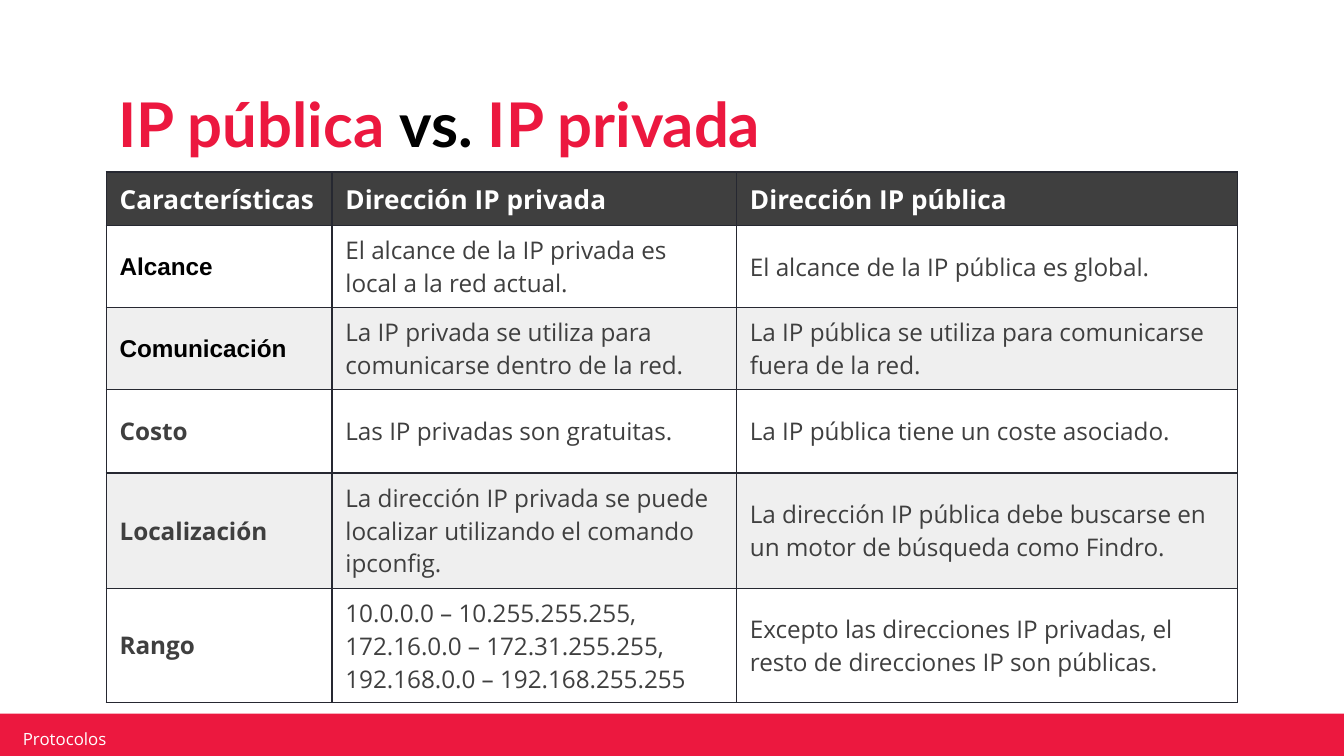
from dataclasses import dataclass

from lxml import etree
from pptx import Presentation
from pptx.dml.color import RGBColor
from pptx.enum import shapes, text
from pptx.oxml import ns
from pptx.util import Inches, Pt

RED, DARK, BLACK, WHITE = "EC183F", "3F3F3F", "000000", "FFFFFF"
STRIPE, BORDER = "EFEFEF", "262831"
BODY_FONT = "Open Sans"


@dataclass
class Row:
    label: str
    private: str
    public: str
    height: float
    fill: str = WHITE
    label_font: str = BODY_FONT
    label_color: str = DARK


HEADER = ("Características", "Dirección IP privada", "Dirección IP pública")
HEADER_HEIGHT = 0.4
COLUMN_WIDTHS = (1.68, 3.01, 3.73)
ROWS = [
    Row("Alcance", "El alcance de la IP privada es local a la red actual.\t",
        "El alcance de la IP pública es global.", 0.61,
        label_font="Arial", label_color=BLACK),
    Row("Comunicación", "La IP privada se utiliza para comunicarse dentro de la red.",
        "La IP pública se utiliza para comunicarse fuera de la red.", 0.61,
        STRIPE, "Arial", BLACK),
    Row("Costo", "Las IP privadas son gratuitas.",
        "La IP pública tiene un coste asociado.", 0.62),
    Row("Localización",
        "La dirección IP privada se puede localizar utilizando el comando ipconfig.",
        "La dirección IP pública debe buscarse en un motor de búsqueda como Findro.",
        0.86, STRIPE),
    Row("Rango",
        "10.0.0.0 – 10.255.255.255,\n172.16.0.0 – 172.31.255.255,\n"
        "192.168.0.0 – 192.168.255.255",
        "Excepto las direcciones IP privadas, el resto de direcciones IP son públicas.",
        0.85),
]


def rgb(color: str) -> RGBColor:
    return RGBColor.from_string(color)


def format_run(run, size: float, color: str, font: str = BODY_FONT, bold: bool = False) -> None:
    run.font.size = Pt(size)
    run.font.name = font
    run.font.bold = bold
    run.font.color.rgb = rgb(color)


def set_insets(frame, horizontal: float, vertical: float) -> None:
    frame.margin_left = frame.margin_right = Inches(horizontal)
    frame.margin_top = frame.margin_bottom = Inches(vertical)


def add_borders(cell) -> None:
    properties = cell._tc.get_or_add_tcPr()
    for index, side in enumerate(("lnL", "lnR", "lnT", "lnB")):
        line = etree.Element(ns.qn(f"a:{side}"), w=str(Pt(0.75)))
        fill = etree.SubElement(line, ns.qn("a:solidFill"))
        etree.SubElement(fill, ns.qn("a:srgbClr"), val=BORDER)
        properties.insert(index, line)


def fill_cell(cell, content: str, fill: str, size: float, color: str,
              font: str = BODY_FONT, bold: bool = False) -> None:
    cell.text_frame.text = content
    cell.vertical_anchor = text.MSO_ANCHOR.MIDDLE
    set_insets(cell, 0.1, 0.06)
    cell.fill.solid()
    cell.fill.fore_color.rgb = rgb(fill)
    add_borders(cell)
    for paragraph in cell.text_frame.paragraphs:
        for run in paragraph.runs:
            format_run(run, size, color, font, bold)


def add_footer(slide) -> None:
    band = slide.shapes.add_shape(shapes.MSO_SHAPE.RECTANGLE, Inches(-0.02), Inches(5.31),
                                  Inches(10.03), Inches(0.36))
    band.shadow.inherit = False
    band.fill.solid()
    band.fill.fore_color.rgb = rgb(RED)
    band.line.fill.background()

    label = slide.shapes.add_textbox(Inches(0.12), Inches(5.42), Inches(2.39), Inches(0.15))
    frame = label.text_frame
    frame.word_wrap = True
    frame.vertical_anchor = text.MSO_ANCHOR.MIDDLE
    set_insets(frame, 0.05, 0.02)
    frame.text = "Protocolos"
    format_run(frame.paragraphs[0].runs[0], 9, WHITE)


def add_title(slide) -> None:
    title = slide.shapes.title
    title.left, title.top = Inches(0.78), Inches(0.6)
    title.width, title.height = Inches(8.43), Inches(0.69)
    frame = title.text_frame
    frame.auto_size = text.MSO_AUTO_SIZE.NONE
    frame.vertical_anchor = text.MSO_ANCHOR.BOTTOM
    set_insets(frame, 0.1, 0.1)
    paragraph = frame.paragraphs[0]
    paragraph.alignment = text.PP_ALIGN.LEFT
    for words, color in (("IP pública ", RED), ("vs. ", BLACK), ("IP privada", RED)):
        run = paragraph.add_run()
        run.text = words
        format_run(run, 33, color, "Lato", True)


def add_comparison(slide) -> None:
    heights = [HEADER_HEIGHT] + [row.height for row in ROWS]
    table = slide.shapes.add_table(len(heights), len(COLUMN_WIDTHS), Inches(0.79), Inches(1.28),
                                   Inches(sum(COLUMN_WIDTHS)), Inches(sum(heights))).table
    for column, width in zip(table.columns, COLUMN_WIDTHS):
        column.width = Inches(width)
    for table_row, height in zip(table.rows, heights):
        table_row.height = Inches(height)

    for column, heading in enumerate(HEADER):
        fill_cell(table.cell(0, column), heading, DARK, 14, WHITE, bold=True)
    for index, row in enumerate(ROWS, start=1):
        fill_cell(table.cell(index, 0), row.label, row.fill, 13,
                  row.label_color, row.label_font, True)
        fill_cell(table.cell(index, 1), row.private, row.fill, 13, DARK)
        fill_cell(table.cell(index, 2), row.public, row.fill, 13, DARK)


def main() -> None:
    presentation = Presentation()
    presentation.slide_width = Inches(10)
    presentation.slide_height = presentation.slide_width * 9 // 16
    slide = presentation.slides.add_slide(presentation.slide_layouts[5])
    add_footer(slide)
    add_title(slide)
    add_comparison(slide)
    presentation.save("out.pptx")


if __name__ == "__main__":
    main()
